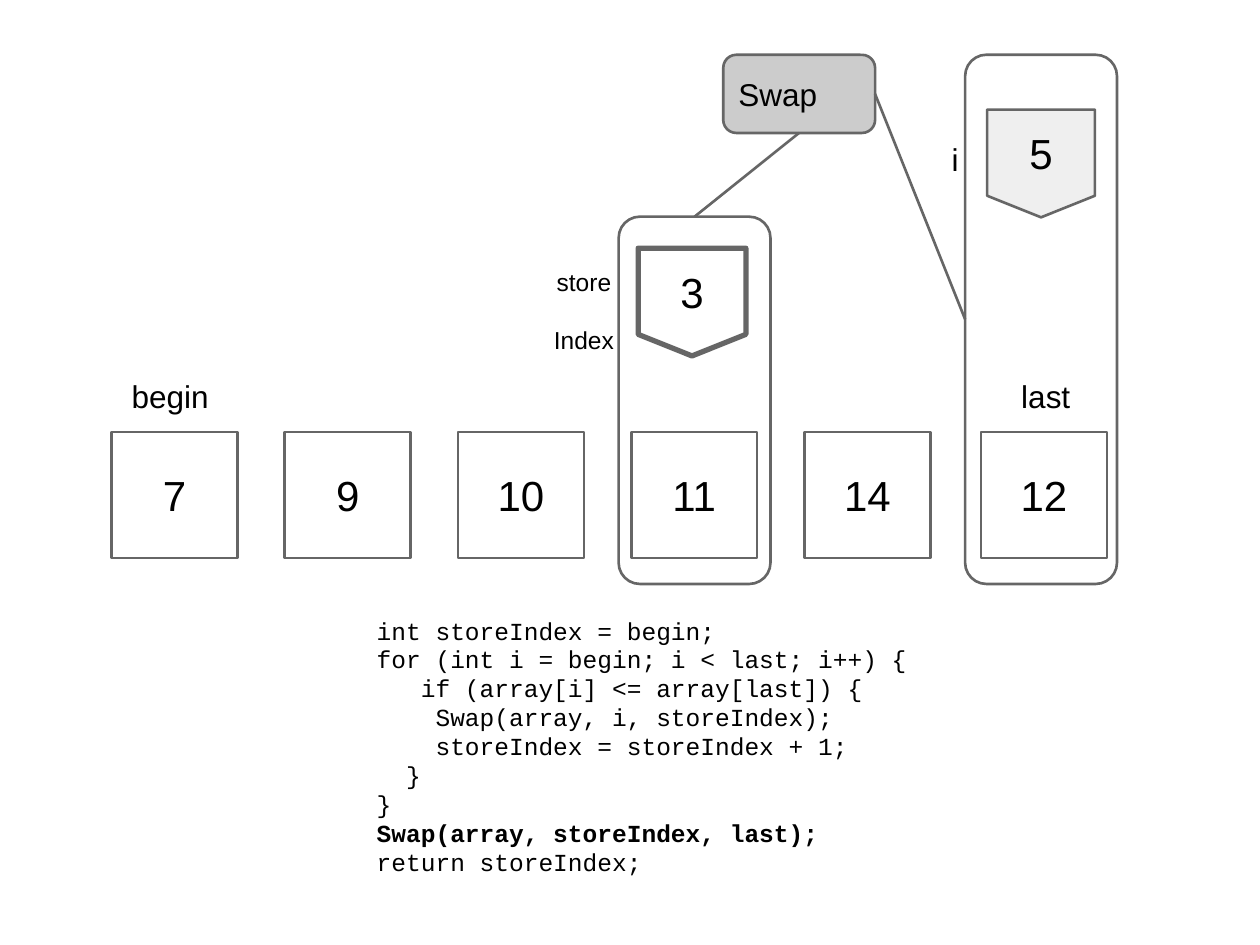
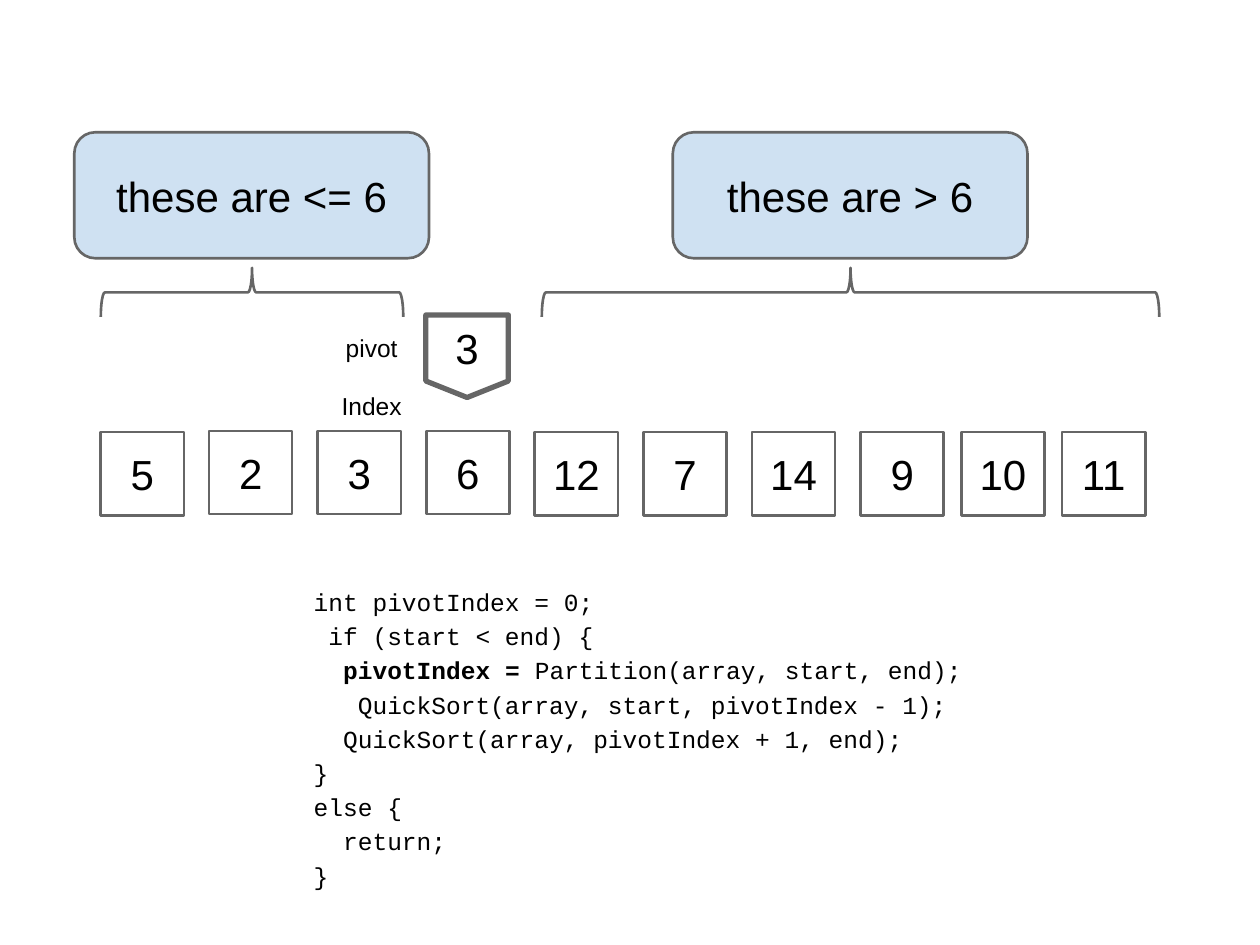
from dataclasses import dataclass
from typing import Optional

from lxml.etree import SubElement
from pptx import Presentation
from pptx.dml.color import RGBColor as RGB
from pptx.enum.shapes import MSO_CONNECTOR as Link, MSO_SHAPE as Kind
from pptx.enum.text import MSO_ANCHOR as Anchor, PP_ALIGN as Align
from pptx.oxml.ns import qn
from pptx.util import Inches, Pt

# Shared look; the grid has 100 columns and 75 rows of equal size
WIDE, HIGH = Inches(10), Inches(7.5)
UNIT = WIDE / 100
INK = {"line": "666666", "text": "000000", "swap": "CCCCCC",
       "mark": "EFEFEF", "note": "CFE1F2"}
SANS, MONO = "Arial", "Courier New"


@dataclass
class Box:
    left: float
    top: float
    wide: float
    high: float
    text: str = ""
    kind: Kind = Kind.RECTANGLE
    fill: Optional[str] = None
    line: float = 1.5
    size: int = 24
    align: Align = Align.CENTER
    inset: float = 0
    round: Optional[float] = None
    turn: float = 0


@dataclass
class Row:
    left: float
    top: float
    side: float
    step: float
    items: tuple


@dataclass
class Label:
    mid: float
    level: float
    text: str
    size: int = 18
    pitch: Optional[float] = None
    gap: float = 0


@dataclass
class Code:
    left: float
    top: float
    wide: float
    high: float
    pitch: float
    text: str


def grid(*vals: float) -> list:
    return [round(val * UNIT) for val in vals]


def tint(hue: str) -> RGB:
    return RGB.from_string(INK[hue])


def write(frame, text: str, face: str, size: int, align: Align,
          pitch: Optional[float] = None, gap: float = 0) -> None:
    """Fill a text frame; parts between asterisks are bold."""
    frame.margin_left = frame.margin_right = 0
    frame.margin_top = frame.margin_bottom = 0
    for num, line in enumerate(text.split("\n")):
        para = frame.add_paragraph() if num else frame.paragraphs[0]
        para.alignment = align
        if pitch:
            para.line_spacing = Pt(pitch)
        if num and gap:
            para.space_before = Pt(gap)
        para.font.name, para.font.size = face, Pt(size)
        para.font.color.rgb = tint("text")
        for odd, part in enumerate(line.split("*")):
            if part:
                run = para.add_run()
                run.text = part
                if odd % 2:
                    run.font.bold = True


def draw_box(slide, box: Box):
    shape = slide.shapes.add_shape(
        box.kind, *grid(box.left, box.top, box.wide, box.high))
    shape.shadow.inherit = False
    shape.rotation = box.turn
    if box.round is not None:
        shape.adjustments[0] = box.round
    if box.fill:
        shape.fill.solid()
        shape.fill.fore_color.rgb = tint(box.fill)
    else:
        shape.fill.background()
    shape.line.color.rgb = tint("line")
    shape.line.width = Pt(box.line)
    if box.text:
        frame = shape.text_frame
        write(frame, box.text, SANS, box.size, box.align)
        frame.vertical_anchor = Anchor.MIDDLE
        frame.margin_left = grid(box.inset)[0]
    return shape


def draw_row(slide, row: Row) -> None:
    for num, item in enumerate(row.items):
        draw_box(slide, Box(row.left + num * row.step, row.top,
                            row.side, row.side, str(item)))


def draw_label(slide, label: Label) -> None:
    wide, high = 9, 8
    area = slide.shapes.add_textbox(
        *grid(label.mid - wide / 2, label.level - high / 2, wide, high))
    frame = area.text_frame
    frame.word_wrap = True
    frame.vertical_anchor = Anchor.MIDDLE
    write(frame, label.text, SANS, label.size, Align.CENTER,
          label.pitch, label.gap)


def draw_code(slide, code: Code) -> None:
    area = slide.shapes.add_textbox(
        *grid(code.left, code.top, code.wide, code.high))
    area.text_frame.word_wrap = True
    write(area.text_frame, code.text, MONO, 14, Align.LEFT, code.pitch)


def join(slide, start, exit: int, end, entry: int) -> None:
    link = slide.shapes.add_connector(Link.STRAIGHT, 0, 0, 0, 0)
    link.begin_connect(start, exit)
    link.end_connect(end, entry)
    link.line.color.rgb = tint("line")
    link.line.width = Pt(1.5)
    SubElement(link._element.spPr, qn("a:effectLst"))


def marker(left: float, top: float, side: float, text: str,
           line: float = 3, fill: Optional[str] = None) -> Box:
    return Box(left, top, side, side, text,
               Kind.FLOWCHART_OFFPAGE_CONNECTOR, fill, line)


def brace(left: float, top: float, wide: float, high: float) -> Box:
    # A left brace, turned to point up
    return Box(left + (wide - high) / 2, top + (high - wide) / 2, high, wide,
               kind=Kind.LEFT_BRACE, turn=90)


def index_label(mid: float, level: float, name: str) -> Label:
    return Label(mid, level, f"{name}\nIndex", 14, 16.5, 16.5)


PART = """int storeIndex = begin;
for (int i = begin; i < last; i++) {
   if (array[i] <= array[last]) {
    Swap(array, i, storeIndex);
    storeIndex = storeIndex + 1;
  }
}
*Swap(array, storeIndex, last);*
return storeIndex;"""

SORT = """int pivotIndex = 0;
 if (start < end) {
  *pivotIndex = *Partition(array, start, end);
   QuickSort(array, start, pivotIndex - 1);
  QuickSort(array, pivotIndex + 1, end);
}
else {
  return;
}"""


def swap_slide(slide) -> None:
    # Frames around the two swapped columns
    last, store = [
        draw_box(slide, Box(left, top, 12.05, 46.35 - top,
                            kind=Kind.ROUNDED_RECTANGLE, round=0.14))
        for left, top in ((76.6, 4.35), (49.1, 17.2))]

    # Array cells
    draw_row(slide, Row(8.85, 34.3, 10, 13.75, (7, 9, 10, 11, 14)))
    draw_row(slide, Row(77.85, 34.3, 10, 0, (12,)))

    # Labels and index markers
    for label in (Label(13.5, 31.4, "begin"), Label(83, 31.4, "last"),
                  Label(75.8, 12.6, "i"), index_label(46.35, 24.7, "store")):
        draw_label(slide, label)
    draw_box(slide, marker(50.65, 19.7, 8.55, "3"))
    draw_box(slide, marker(78.35, 8.7, 8.55, "5", 1.5, "mark"))

    draw_code(slide, Code(29.9, 48.9, 46, 21, 16.5, PART))

    # Swap box and its links
    swap = draw_box(slide, Box(57.4, 4.35, 12.05, 6.2, "Swap",
                               Kind.ROUNDED_RECTANGLE, "swap", size=18,
                               align=Align.LEFT, inset=0.9))
    join(slide, swap, 2, store, 0)
    join(slide, swap, 3, last, 1)


def pivot_slide(slide) -> None:
    # Array cells
    for row in (Row(8, 34.3, 6.6, 0, (5,)),
                Row(16.6, 34.2, 6.6, 8.62, (2, 3, 6)),
                Row(42.45, 34.3, 6.6, 8.62, (12, 7, 14, 9)),
                Row(76.3, 34.3, 6.6, 8, (10, 11))):
        draw_row(slide, row)

    draw_code(slide, Code(24.9, 46.2, 55, 25, 19.57, SORT))

    # Pivot marker
    draw_box(slide, marker(33.8, 25, 6.55, "3"))
    draw_label(slide, index_label(29.5, 29.9, "pivot"))

    # Notes above the two halves
    for left, text in ((5.9, "these are <= 6"), (53.4, "these are > 6")):
        draw_box(slide, Box(left, 10.5, 28.15, 10, text,
                            Kind.ROUNDED_RECTANGLE, "note"))
    for left, wide in ((8, 24), (43, 49)):
        draw_box(slide, brace(left, 21.25, wide, 3.9))


def main() -> None:
    deck = Presentation()
    deck.slide_width, deck.slide_height = WIDE, HIGH
    for build in (swap_slide, pivot_slide):
        build(deck.slides.add_slide(deck.slide_layouts[6]))
    deck.save("out.pptx")


if __name__ == "__main__":
    main()
